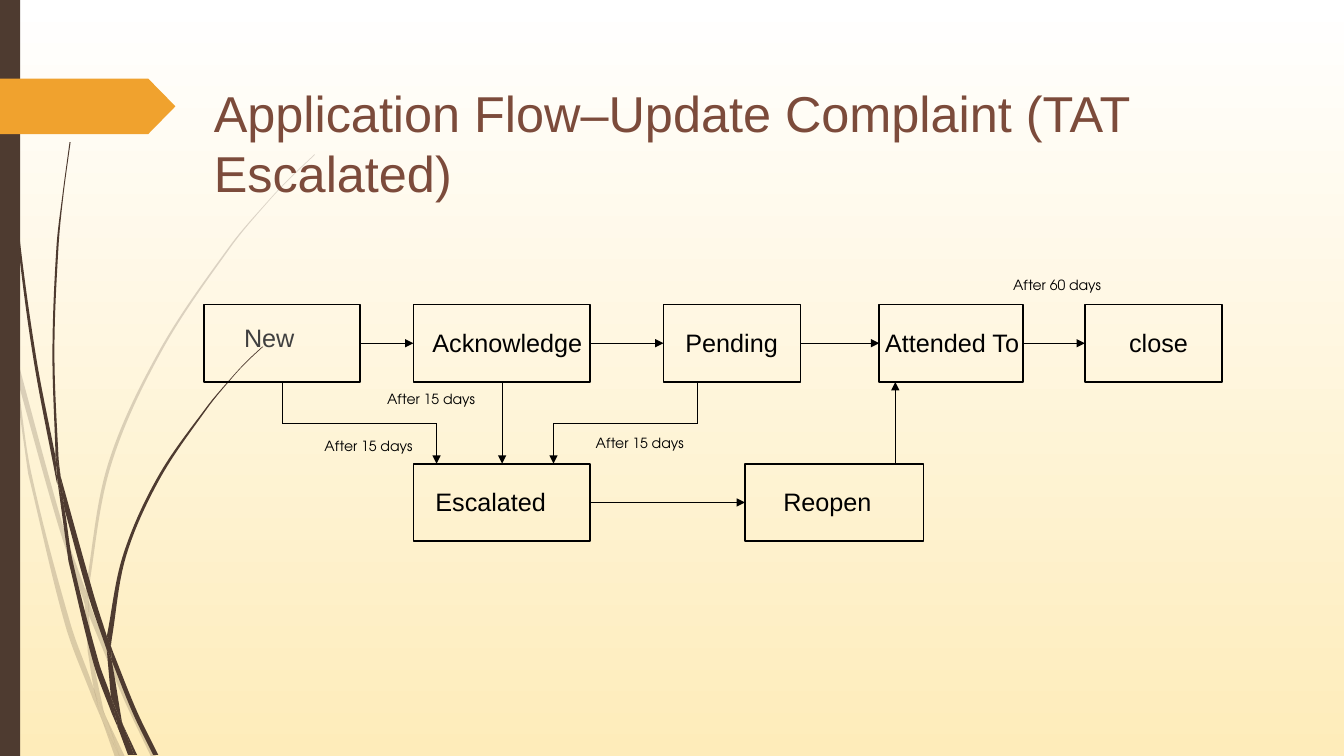
import math
from itertools import pairwise
from pptx import Presentation, util as u
from pptx.dml.color import RGBColor
from pptx.enum import shapes, text
from pptx.oxml.ns import qn
from lxml import etree

UNIT = u.Inches(0.1)
COLUMNS, ROWS = 133.3, 75
WHITE = RGBColor(0xFF, 0xFF, 0xFF)
CREAM = RGBColor(0xFE, 0xEC, 0xBA)
BARK = RGBColor(0x4E, 0x3B, 0x30)
ORANGE = RGBColor(0xF0, 0xA2, 0x2E)
RUST = RGBColor(0x7C, 0x4B, 0x3B)
GREY = RGBColor(0x40, 0x40, 0x40)
BLACK = RGBColor(0, 0, 0)
BODY_FONT, NOTE_FONT = "Arial", "TeX Gyre Adventor"

PALE_BLADES = [
    ([(0, 28.2), (0.9, 32.2), (1.1, 35)], [(1, 34.4), (0, 29.9)]),
    ([(1.4, 34.5), (6.2, 52), (8.5, 58.6)], [(8.4, 59.9), (5.8, 52.2), (1.7, 37.6)]),
    ([(8.8, 59.6), (9.2, 60.7), (12.7, 69.2), (15.5, 75.1)],
     [(15, 75.1), (12.3, 69.4), (8.8, 61)]),
    ([(10.5, 71.1), (12.4, 75.1)], [(11.9, 75.1)]),
    ([(1.1, 35), (1.7, 37.6), (3.1, 46.9), (7, 61.9), (9.3, 68.3), (9.9, 70.7), (10.1, 71.4)],
     [(9.2, 69.3), (6.5, 62.1), (2.8, 47)]),
    ([(8.4, 59.9), (8.8, 61), (9.1, 64.6), (10.3, 70.6), (10.5, 71.1)],
     [(9.6, 69.2), (9.3, 68.3), (8.7, 64.6)]),
    ([(8.5, 58.6), (8.5, 58.4), (10.7, 46.1), (15.8, 34.8), (22.8, 24.4), (26.8, 19.7),
      (28.9, 17.5), (31.2, 15.3)],
     [(31.2, 15.4), (29, 17.5), (26.8, 19.8), (22.9, 24.5), (16, 34.9), (11, 46.2),
      (8.8, 58.4), (8.8, 59.6)]),
    ([(10.1, 71.4), (11.9, 75.1)], [(11.4, 75.1)]),
    ([(8.5, 58.6), (8.8, 59.6), (8.8, 61)], [(8.8, 60.8), (8.4, 59.9)]),
    ([(9.3, 68.3), (9.6, 69.2), (10.5, 71.1), (11.9, 75.1)], [(10.1, 71.4), (9.9, 70.7)]),
]
DARK_BLADES = [
    ([(0.3, 0), (0.4, 4.8), (0.7, 11), (1.7, 23.3), (3.3, 35.5), (5.6, 47.7), (5.7, 48.1)],
     [(5.5, 45.3), (3.6, 35.5), (1.9, 23.2), (0.8, 10.9), (0.5, 4.8), (0.4, 0)]),
    ([(6, 47.2), (9.3, 59), (10.6, 63.1)], [(10.6, 64.5), (8.8, 59.2), (6.4, 50.5)]),
    ([(11, 64.1), (11.3, 64.9), (13.6, 70.6), (15.7, 74.9)],
     [(15.2, 74.9), (13.2, 70.8), (11.1, 65.6)]),
    ([(5.7, 47.7), (6.4, 50.5), (7.2, 55.6), (9.8, 65.7), (11, 69.1), (11.6, 71.7), (11.7, 72.2)],
     [(11.1, 70.8), (9.3, 65.9), (6.8, 55.7)]),
    ([(6, 47.2), (5.8, 45.3), (5.4, 34.9), (5.8, 24.5), (6.3, 19.3), (7, 14.1)],
     [(6.9, 14.1), (6.2, 19.3), (5.6, 24.5), (5.2, 34.9), (5.5, 44.9)]),
    ([(12.2, 71.9), (13.6, 74.9)], [(13.3, 74.9)]),
    ([(5.5, 44.9), (6, 47.2), (6.4, 50.5)], [(5.7, 47.7), (5.5, 45.3)]),
    ([(10.6, 63.1), (12.2, 55.1), (15.6, 47.4), (20.4, 40.5), (23.1, 37.3), (24.5, 35.8), (26, 34.4)],
     [(26.1, 34.4), (24.5, 35.9), (23.1, 37.4), (20.5, 40.6), (15.8, 47.6), (12.5, 55.2),
      (11.1, 63.3), (11, 64.1)]),
    ([(11.7, 72.2), (13.1, 74.9)], [(12.7, 74.9)]),
    ([(10.6, 64.5), (10.9, 65.1), (11.1, 65.6), (12.1, 71.6), (12.2, 71.9)],
     [(11.6, 70.6), (11, 69.1)]),
    ([(10.6, 63.1), (11, 64.1), (11.1, 65.6)], [(10.9, 65.1), (10.6, 64.5)]),
    ([(11, 69.1), (11.6, 70.6), (12.2, 71.9), (13.3, 74.9)],
     [(13, 74.9), (11.7, 72.2), (11.6, 71.7)]),
]

UPPER_STATES = [
    ("New", 0, 15.5, 3, 9.9),
    ("Acknowledge", 20.8, 17.5, 21.7, 17.1),
    ("Pending", 45.6, 13.6, 46.8, 13.6),
    ("Attended To", 67, 14.3, 66.6, 19.5),
    ("close", 87.4, 13.6, 90.8, 8.8),
]
LOWER_STATES = [
    ("Escalated", 20.8, 17.5, 22, 14.3),
    ("Reopen", 53.7, 17.7, 56.5, 12.1),
]
STATE_HEIGHT, LOWER_TOP, BEND = 7.7, 15.8, 11.8
ROUTES = [
    [(7.8, STATE_HEIGHT), (7.8, BEND), (23.1, BEND), (23.1, LOWER_TOP)],
    [(29.6, STATE_HEIGHT), (29.6, LOWER_TOP)],
    [(49, STATE_HEIGHT), (49, BEND), (34.7, BEND), (34.7, LOWER_TOP)],
    [(68.6, LOWER_TOP), (68.6, STATE_HEIGHT)],
]
DELAYS = [
    ("After 15 days", 11, 12.7, 12),
    ("After 15 days", 37.9, 12.4, 12.8),
    ("After 15 days", 17.2, 8.1, 15.1),
    ("After 60 days", 79.3, -3.3, 13.6),
]


def grid(*lengths):
    return [round(length * UNIT) for length in lengths]


def style_text(shape, words, size, color, font_name=BODY_FONT):
    frame = shape.text_frame
    frame.text = words
    frame.word_wrap = True
    frame.auto_size = text.MSO_AUTO_SIZE.NONE
    frame.vertical_anchor = text.MSO_ANCHOR.TOP
    paragraph = frame.paragraphs[0]
    paragraph.alignment = text.PP_ALIGN.LEFT
    paragraph.space_before = u.Pt(0)
    paragraph.font.size = u.Pt(size)
    paragraph.font.name = font_name
    paragraph.font.color.rgb = color
    return paragraph


def place_placeholder(placeholder, box, words, size, color):
    placeholder.left, placeholder.top, placeholder.width, placeholder.height = grid(*box)
    paragraph = style_text(placeholder, words, size, color)
    placeholder.element.getparent().append(placeholder.element)
    return paragraph


def add_text(slide, box, words, size, font_name=BODY_FONT):
    style_text(slide.shapes.add_textbox(*grid(*box)), words, size, BLACK, font_name)


def paint(shape, color):
    shape.shadow.inherit = False
    shape.fill.solid()
    shape.fill.fore_color.rgb = color
    shape.line.fill.background()


def edge_curves(edge):
    angles = []
    for index in range(len(edge)):
        before, after = edge[max(index - 1, 0)], edge[min(index + 1, len(edge) - 1)]
        angles.append(math.atan2(after[1] - before[1], after[0] - before[0]))
    for (start, end), (leave, arrive) in zip(pairwise(edge), pairwise(angles)):
        reach = math.dist(start, end) / 3
        yield ((start[0] + reach * math.cos(leave), start[1] + reach * math.sin(leave)),
               (end[0] - reach * math.cos(arrive), end[1] - reach * math.sin(arrive)), end)


def add_blade(slide, edges, opacity):
    outline = [grid(*point) for edge in edges for point in edge]
    builder = slide.shapes.build_freeform(*outline[0])
    builder.add_line_segments(outline[1:], close=True)
    blade = builder.convert_to_shape()
    paint(blade, BARK)
    if opacity < 100:
        color = blade.element.spPr.find(qn("a:solidFill"))[0]
        etree.SubElement(color, qn("a:alpha"), val=str(opacity * 1000))
    first, second = edges
    curves = [*edge_curves(first), None, *edge_curves(second)]
    for line, curve in zip(list(blade.element.iter(qn("a:lnTo"))), curves):
        if curve:
            line.clear()
            line.tag = qn("a:cubicBezTo")
            for point in curve:
                x, y = grid(*point)
                etree.SubElement(line, qn("a:pt"), x=str(x - blade.left), y=str(y - blade.top))


def add_backdrop(slide, columns, rows):
    fill = slide.background.fill
    fill.gradient()
    fill.gradient_angle = 270
    for stop, color in zip(fill.gradient_stops, (WHITE, CREAM)):
        stop.color.rgb = color
    for blades, opacity in ((PALE_BLADES, 20), (DARK_BLADES, 100)):
        for edges in blades:
            add_blade(slide, edges, opacity)
    preset = shapes.MSO_SHAPE
    bar = slide.shapes.add_shape(preset.RECTANGLE, *grid(0, 0, columns * 0.015, rows))
    paint(bar, BARK)
    marker = slide.shapes.add_shape(preset.PENTAGON, *grid(0, 7.8, 17.4, 5.5))
    marker.adjustments[0] = 0.49
    paint(marker, ORANGE)


def add_route(slide, left, top, points):
    for start, end in pairwise(points):
        connector = slide.shapes.add_connector(
            shapes.MSO_CONNECTOR.STRAIGHT,
            *grid(left + start[0], top + start[1], left + end[0], top + end[1]))
        connector.line.color.rgb = BLACK
        connector.line.width = u.Pt(0.75)
        if end == points[-1]:
            outline = connector.element.spPr.find(qn("a:ln"))
            etree.SubElement(outline, qn("a:tailEnd"), type="triangle")
        etree.SubElement(connector.element.spPr, qn("a:effectLst"))


def add_state_row(slide, left, top, states):
    for words, x, width, text_x, text_width in states:
        state = slide.shapes.add_shape(
            shapes.MSO_SHAPE.RECTANGLE, *grid(left + x, top, width, STATE_HEIGHT))
        state.shadow.inherit = False
        state.fill.background()
        state.line.color.rgb = BLACK
        state.line.width = u.Pt(1.25)
        if words != "New":
            add_text(slide, (left + text_x, top + 1.8, text_width, 4), words, 18)
    middle = STATE_HEIGHT / 2
    for current, following in pairwise(states):
        add_route(slide, left, top, [(current[1] + current[2], middle), (following[1], middle)])


def add_flow(slide, left, top):
    name, _, _, text_x, text_width = UPPER_STATES[0]
    box = (left + text_x, top + 1.3, text_width, 5.3)
    paragraph = place_placeholder(slide.placeholders[1], box, name, 18, GREY)
    properties = paragraph._p.get_or_add_pPr()
    properties.set("marL", "0")
    properties.set("indent", "0")
    properties.find(qn("a:defRPr")).addprevious(etree.Element(qn("a:buNone")))
    add_state_row(slide, left, top, UPPER_STATES)
    add_state_row(slide, left, top + LOWER_TOP, LOWER_STATES)
    for points in ROUTES:
        add_route(slide, left, top, points)
    for words, x, y, width in DELAYS:
        add_text(slide, (left + x, top + y, width, 2.7), words, 10, NOTE_FONT)


presentation = Presentation()
presentation.slide_width, presentation.slide_height = grid(COLUMNS, ROWS)
slide = presentation.slides.add_slide(presentation.slide_layouts[1])
add_backdrop(slide, COLUMNS, ROWS)
place_placeholder(slide.shapes.title, (20.2, 7.6, 95.6, 16.4),
                  "Application Flow–Update Complaint (TAT Escalated)", 36, RUST)
add_flow(slide, 20.2, 30.2)
presentation.save("out.pptx")
